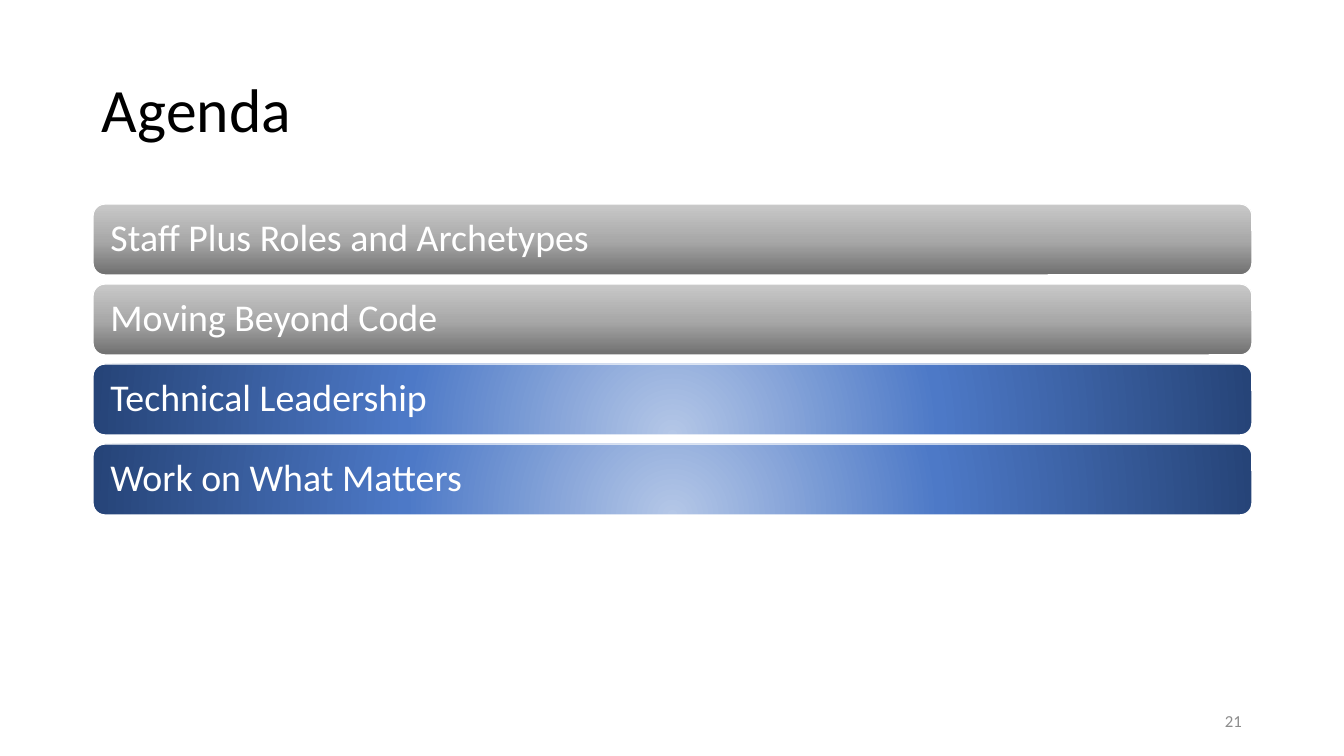
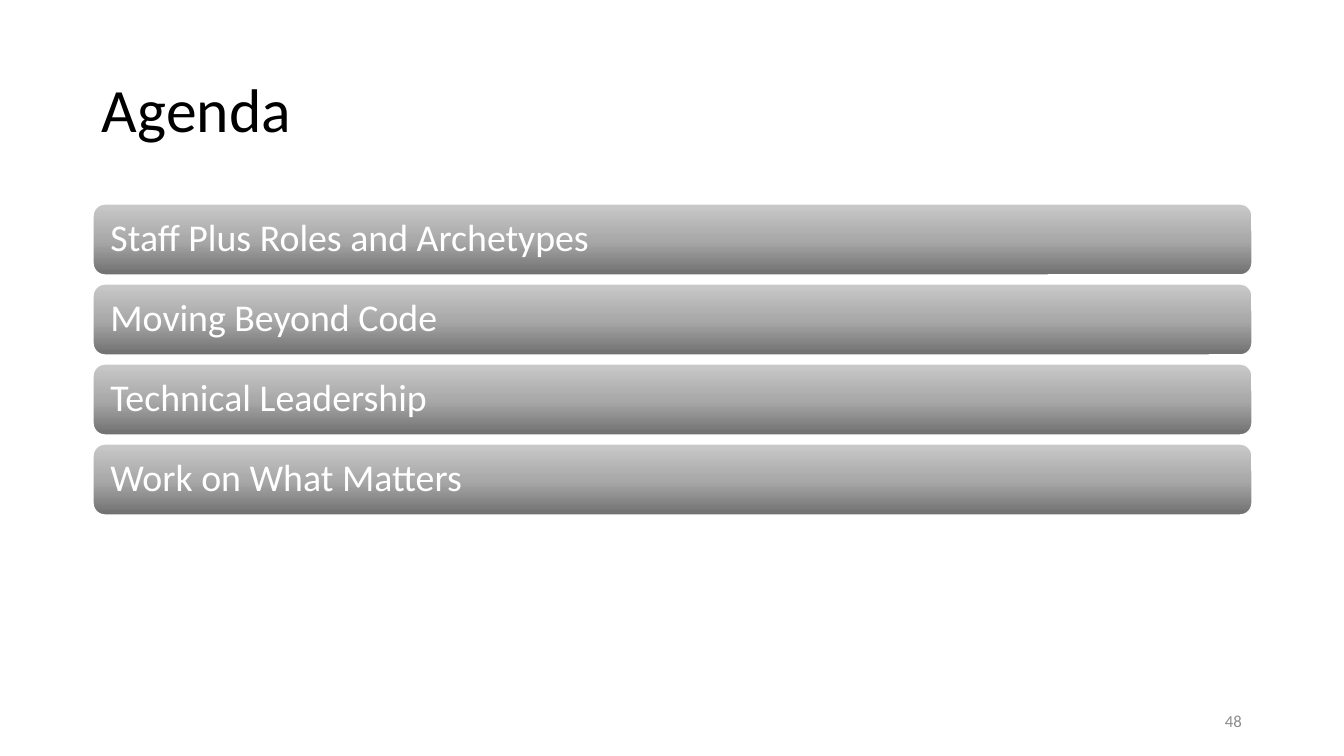
import pptx
import pptx.dml.color
import pptx.enum.shapes
import pptx.enum.text
import pptx.oxml.ns
import pptx.util
from dataclasses import dataclass
from lxml import etree

ALIGN = pptx.enum.text.PP_ALIGN
EMU_PER_PX = 12192000 / 1344


def px(length):
    return pptx.util.Emu(round(length * EMU_PER_PX))


# Colours, type sizes and gradients
@dataclass(frozen=True)
class Theme:
    font: str = "Calibri"
    title_size: int = 44
    bar_size: int = 27
    number_size: int = 12
    title_color: str = "000000"
    bar_color: str = "FFFFFF"
    number_color: str = "8C8C8C"
    done_stops: tuple = ((0, "6F6F6F"), (48, "A8A8A8"), (100, "C9C9C9"))
    open_stops: tuple = ((0, "B4C7E7"), (46, "4D79C7"), (100, "264478"))


# Current slide and one method for each kind of element
class Deck:
    def __init__(self, theme):
        self.theme = theme
        self.presentation = pptx.Presentation()
        self.presentation.slide_width = px(1344)
        self.presentation.slide_height = px(756)
        self.slide = None

    def add_slide(self, title):
        layout = self.presentation.slide_layouts.get_by_name("Title Only")
        self.slide = self.presentation.slides.add_slide(layout)
        shape = self.slide.shapes.title
        shape.left, shape.top, shape.width, shape.height = map(px, (92, 40, 1159, 146))
        self.set_text(shape, title, self.theme.title_size, self.theme.title_color, line_spacing=0.9)

    def set_text(self, shape, text, size, color, side_inset=10, alignment=ALIGN.LEFT, line_spacing=1.0):
        frame = shape.text_frame
        frame.text = text
        paragraph = frame.paragraphs[0]
        formats = (
            (frame, {"word_wrap": True, "vertical_anchor": pptx.enum.text.MSO_ANCHOR.MIDDLE,
                     "margin_left": px(side_inset), "margin_right": px(side_inset)}),
            (paragraph, {"alignment": alignment, "line_spacing": line_spacing}),
            (paragraph.font, {"name": self.theme.font, "size": pptx.util.Pt(size)}),
        )
        for target, values in formats:
            for name, value in values.items():
                setattr(target, name, value)
        paragraph.font.color.rgb = pptx.dml.color.RGBColor.from_string(color)

    def fill_gradient(self, shape, stops, radial):
        qn = pptx.oxml.ns.qn
        shape.fill.gradient()
        gradient = shape.element.spPr.find(qn("a:gradFill"))
        for child in list(gradient):
            gradient.remove(child)
        stop_list = etree.SubElement(gradient, qn("a:gsLst"))
        for position, color in stops:
            stop = etree.SubElement(stop_list, qn("a:gs"), pos=str(position * 1000))
            etree.SubElement(stop, qn("a:srgbClr"), val=color)
        if radial:
            circle = etree.SubElement(gradient, qn("a:path"), {"path": "circle"})
            etree.SubElement(circle, qn("a:fillToRect"), l="50000", t="130000", r="50000", b="-30000")
        else:
            etree.SubElement(gradient, qn("a:lin"), ang="16200000", scaled="0")

    def add_bar(self, text, top, done):
        theme = self.theme
        shape = self.slide.shapes.add_shape(
            pptx.enum.shapes.MSO_SHAPE.ROUNDED_RECTANGLE, px(93), px(top), px(1159), px(71))
        shape.shadow.inherit = False
        self.fill_gradient(shape, theme.done_stops if done else theme.open_stops, radial=not done)
        shape.line.color.rgb = pptx.dml.color.RGBColor.from_string(theme.bar_color)
        shape.line.width = pptx.util.Pt(1)
        self.set_text(shape, text, theme.bar_size, theme.bar_color, side_inset=14, line_spacing=0.9)

    def add_number(self, number):
        shape = self.slide.shapes.add_textbox(px(950), px(701), px(302), px(40))
        self.set_text(shape, str(number), self.theme.number_size, self.theme.number_color,
                      alignment=ALIGN.RIGHT)


TOPICS = (
    "Staff Plus Roles and Archetypes",
    "Moving Beyond Code",
    "Technical Leadership",
    "Work on What Matters",
)
# Slide number and count of finished topics
AGENDAS = ((21, 2), (48, 4))


def main():
    deck = Deck(Theme())
    for number, done_count in AGENDAS:
        deck.add_slide("Agenda")
        for index, topic in enumerate(TOPICS):
            deck.add_bar(topic, top=204 + 80 * index, done=index < done_count)
        deck.add_number(number)
    deck.presentation.save("out.pptx")


if __name__ == "__main__":
    main()
